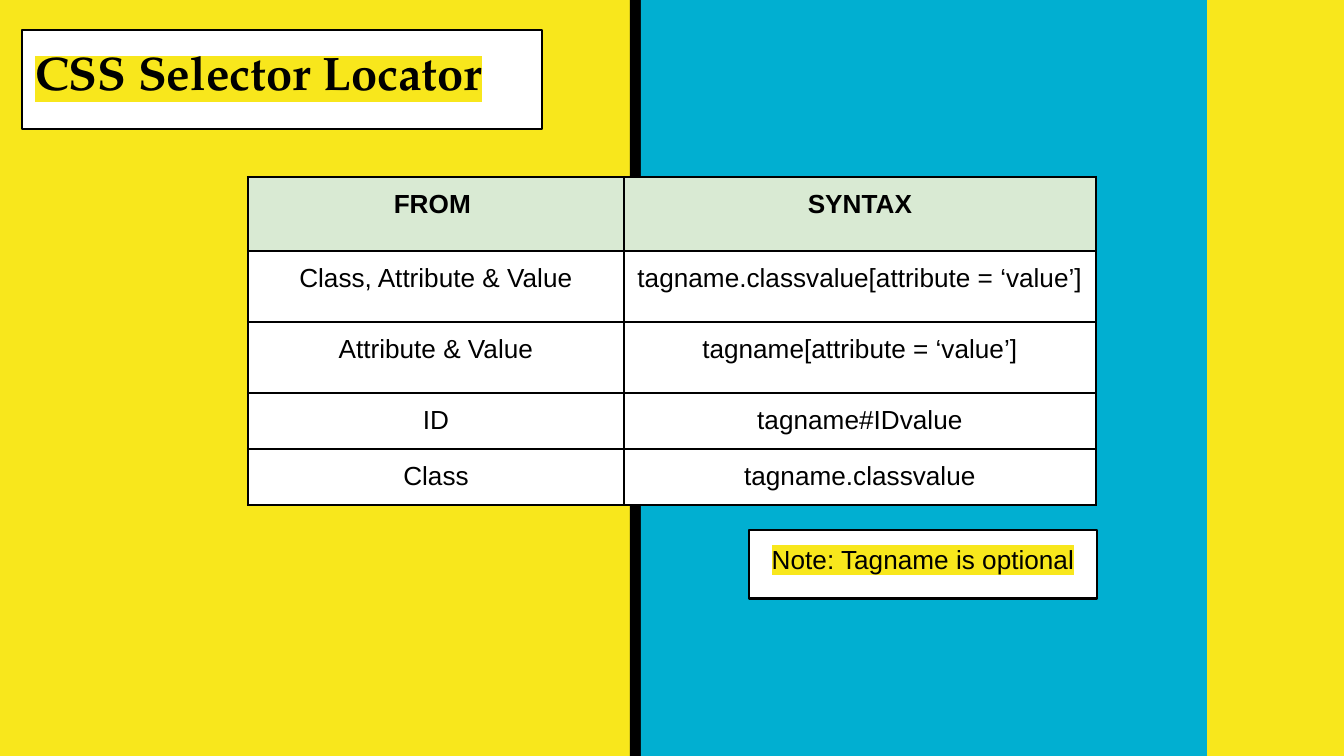
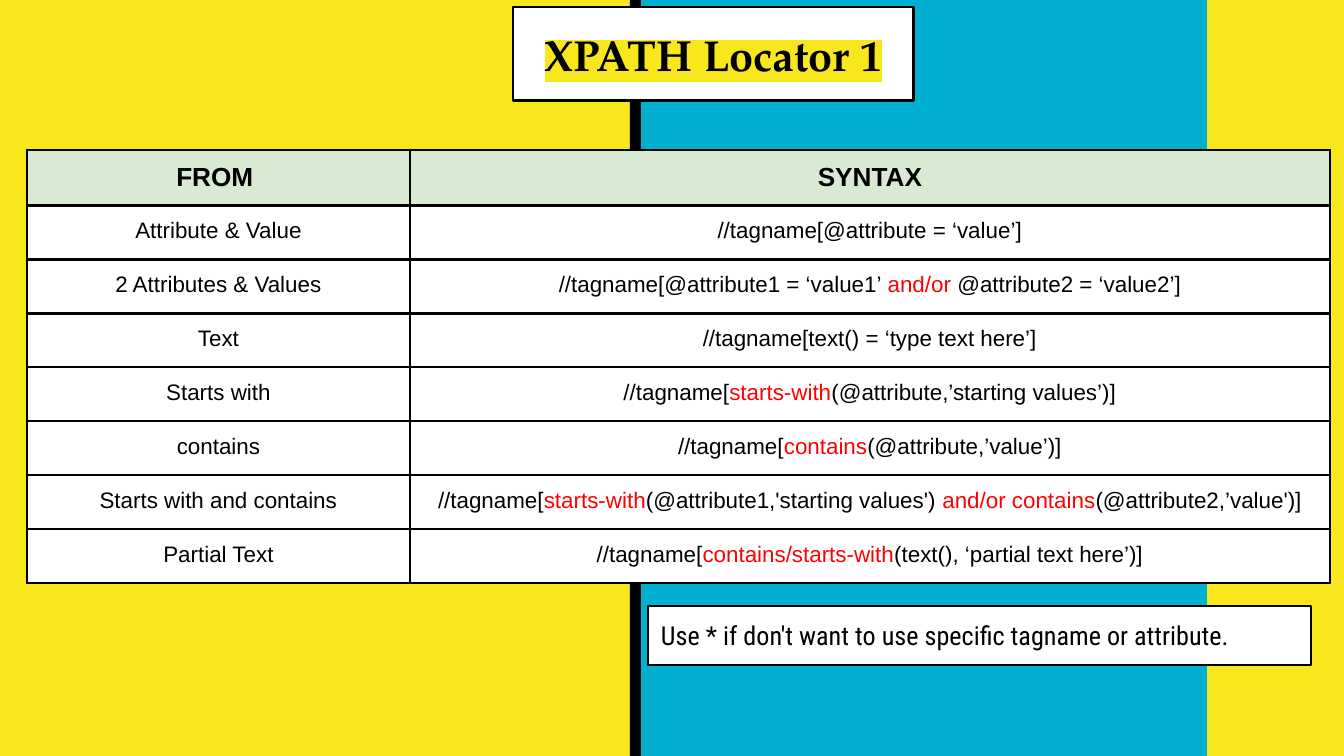
from dataclasses import dataclass

from lxml.etree import SubElement
from pptx import Presentation
from pptx.dml.color import RGBColor
from pptx.enum.shapes import MSO_SHAPE as Preset
from pptx.enum.text import MSO_ANCHOR as Anchor, MSO_AUTO_SIZE as AutoSize, PP_ALIGN as Align
from pptx.oxml.ns import qn
from pptx.util import Emu, Pt

SLIDE_WIDTH, SLIDE_HEIGHT = 1344, 756
EMU_PER_PX = 9144000 / SLIDE_WIDTH
INSET = 13

YELLOW, CYAN, BLACK, WHITE = "F8E71C", "01AFD1", "000000", "FFFFFF"
GREEN, RED = "D9EAD3", "FF0000"
TITLE_FONT, BODY_FONT, HINT_FONT = "TeX Gyre Pagella", "Arial", "Roboto Condensed"
ACCENT_MARK = "|"
BORDER_SIDES = ("a:lnL", "a:lnR", "a:lnT", "a:lnB")


@dataclass(frozen=True)
class Box:
    left: int
    top: int
    width: int
    height: int
    fill: str = WHITE
    line: float = 0


@dataclass(frozen=True)
class Label:
    box: Box
    text: str
    size: float
    font: str = BODY_FONT
    bold: bool = False
    align: Align = Align.LEFT
    anchor: Anchor = Anchor.TOP
    highlight: str = ""
    grow: bool = False


@dataclass(frozen=True)
class LocatorTable:
    left: int
    top: int
    columns: tuple[int, ...]
    heights: tuple[int, ...]
    body_size: int
    rows: tuple[tuple[str, str], ...]


@dataclass(frozen=True)
class LocatorSlide:
    title: Label
    table: LocatorTable
    note: Label


BANDS = (
    Box(630, 0, 11, SLIDE_HEIGHT, BLACK),
    Box(641, 0, 566, SLIDE_HEIGHT, CYAN),
)
HEADER = ("FROM ", "SYNTAX")

SLIDES = (
    LocatorSlide(
        Label(Box(22, 30, 520, 99, line=1.5), "CSS Selector Locator", 25.2,
              TITLE_FONT, bold=True, highlight=YELLOW),
        LocatorTable(248, 177, (376, 472), (74, 71, 71, 56, 56), 14, (
            ("Class, Attribute & Value", "tagname.classvalue[attribute = ‘value’]"),
            ("Attribute & Value", "tagname[attribute = ‘value’]"),
            ("ID", "tagname#IDvalue"),
            ("Class", "tagname.classvalue"),
        )),
        Label(Box(749, 530, 348, 69, line=1.5), "Note: Tagname is optional", 14,
              align=Align.CENTER, highlight=YELLOW),
    ),
    LocatorSlide(
        Label(Box(513, 7, 401, 94, line=1.5), "XPATH Locator 1", 23.2, TITLE_FONT,
              bold=True, align=Align.CENTER, anchor=Anchor.MIDDLE, highlight=YELLOW),
        LocatorTable(27, 150, (383, 920), (35,) + (54,) * 7, 12, (
            ("Attribute & Value", "//tagname[@attribute = ‘value’]"),
            ("2 Attributes & Values",
             "//tagname[@attribute1 = ‘value1’ |and/or| @attribute2 = ‘value2’]"),
            ("Text", "//tagname[text() = ‘type text here’]"),
            ("Starts with", "//tagname[|starts-with|(@attribute,’starting values’)]"),
            ("contains", "//tagname[|contains|(@attribute,’value’)]"),
            ("Starts with and contains",
             "//tagname[|starts-with|(@attribute1,'starting values') "
             "|and/or contains|(@attribute2,’value')]"),
            ("Partial Text",
             "//tagname[|contains/starts-with|(text(), ‘partial text here’)]"),
        )),
        Label(Box(648, 606, 663, 59, line=0.75),
              "Use * if don't want to use specific tagname or attribute.", 14,
              HINT_FONT, grow=True),
    ),
)


def px(length: int) -> Emu:
    return Emu(round(length * EMU_PER_PX))


def rgb(color: str) -> RGBColor:
    return RGBColor.from_string(color)


def paint(target, color: str) -> None:
    target.solid()
    target.fore_color.rgb = rgb(color)


def set_margins(target) -> None:
    target.margin_left = target.margin_right = px(INSET)
    target.margin_top = target.margin_bottom = px(INSET)


def write(frame, text: str, *, size: float, font: str = BODY_FONT, bold: bool = False,
          align: Align = Align.LEFT, highlight: str = "") -> None:
    paragraph = frame.paragraphs[0]
    paragraph.alignment = align
    for index, part in enumerate(text.split(ACCENT_MARK)):
        run = paragraph.add_run()
        run.text = part
        run.font.size = Pt(size)
        run.font.bold = bold
        paint(run.font.fill, RED if index % 2 else BLACK)
        if highlight:
            mark = SubElement(run.font._element, qn("a:highlight"))
            SubElement(mark, qn("a:srgbClr"), val=highlight)
        run.font.name = font


def draw_box(slide, box: Box):
    shape = slide.shapes.add_shape(
        Preset.RECTANGLE, px(box.left), px(box.top), px(box.width), px(box.height))
    shape.shadow.inherit = False
    paint(shape.fill, box.fill)
    if box.line:
        paint(shape.line.fill, BLACK)
        shape.line.width = Pt(box.line)
    else:
        shape.line.fill.background()
    return shape


def draw_label(slide, label: Label) -> None:
    frame = draw_box(slide, label.box).text_frame
    frame.word_wrap = True
    frame.auto_size = AutoSize.SHAPE_TO_FIT_TEXT if label.grow else AutoSize.NONE
    frame.vertical_anchor = label.anchor
    set_margins(frame)
    write(frame, label.text, size=label.size, font=label.font, bold=label.bold,
          align=label.align, highlight=label.highlight)


def draw_borders(cell) -> None:
    properties = cell._tc.get_or_add_tcPr()
    for index, side in enumerate(BORDER_SIDES):
        border = properties.makeelement(qn(side), {"w": str(Pt(1.5))})
        fill = SubElement(border, qn("a:solidFill"))
        SubElement(fill, qn("a:srgbClr"), val=BLACK)
        properties.insert(index, border)


def draw_table(slide, spec: LocatorTable) -> None:
    rows = (HEADER,) + spec.rows
    table = slide.shapes.add_table(
        len(rows), len(spec.columns), px(spec.left), px(spec.top),
        px(sum(spec.columns)), px(sum(spec.heights))).table
    table.first_row = table.horz_banding = False
    for column, width in zip(table.columns, spec.columns):
        column.width = px(width)
    for row, height in zip(table.rows, spec.heights):
        row.height = px(height)
    for row_index, texts in enumerate(rows):
        is_header = row_index == 0
        for column_index, text in enumerate(texts):
            cell = table.cell(row_index, column_index)
            set_margins(cell)
            paint(cell.fill, GREEN if is_header else WHITE)
            draw_borders(cell)
            write(cell.text_frame, text, size=14 if is_header else spec.body_size,
                  bold=is_header, align=Align.CENTER)


def draw_slide(deck, content: LocatorSlide) -> None:
    slide = deck.slides.add_slide(deck.slide_layouts[6])
    paint(slide.background.fill, YELLOW)
    for band in BANDS:
        draw_box(slide, band)
    draw_label(slide, content.title)
    draw_table(slide, content.table)
    draw_label(slide, content.note)


def main() -> None:
    deck = Presentation()
    deck.slide_width, deck.slide_height = px(SLIDE_WIDTH), px(SLIDE_HEIGHT)
    for content in SLIDES:
        draw_slide(deck, content)
    deck.save("out.pptx")


if __name__ == "__main__":
    main()
